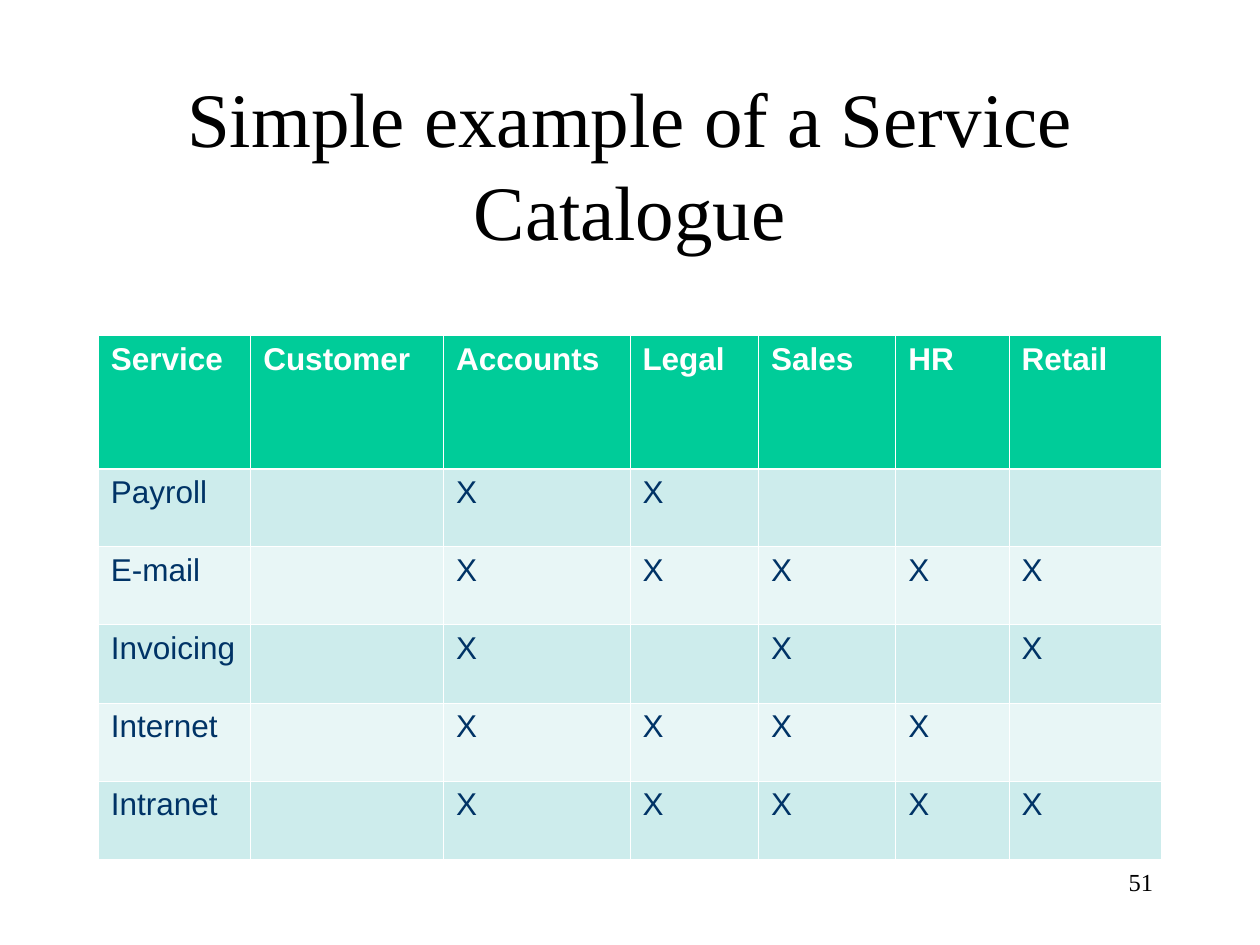
"""Build the service catalogue slide."""
from lxml.etree import SubElement as Sub
from pptx import Presentation
from pptx.dml.color import RGBColor as RGB
from pptx.enum.text import MSO_ANCHOR as Anchor, MSO_AUTO_SIZE as Fit, PP_ALIGN as Align
from pptx.oxml.ns import qn
from pptx.util import Inches, Pt

TITLE = "Simple example of a Service Catalogue"
NUMBER = "51"
HEADS = ["Service", "Customer", "Accounts", "Legal", "Sales", "HR", "Retail"]
USERS = {
    "Payroll": ["Accounts", "Legal"],
    "E-mail": ["Accounts", "Legal", "Sales", "HR", "Retail"],
    "Invoicing": ["Accounts", "Sales", "Retail"],
    "Internet": ["Accounts", "Legal", "Sales", "HR"],
    "Intranet": ["Accounts", "Legal", "Sales", "HR", "Retail"],
}
WIDTHS = [1.21, 1.53, 1.48, 1.02, 1.09, 0.9, 1.21]
HEIGHTS = [1.06] + [0.62] * len(USERS)
COLORS = {
    "black": "000000", "white": "FFFFFF", "navy": "003366",
    "green": "00CC99", "mint": "CDECEC", "pale": "E8F6F6",
}
SERIF, SANS = "Times New Roman", "Arial"
THIN, THICK = 0.45, 1.47


def write(frame, text, size=18, face=SANS, color="navy", bold=False, align=Align.LEFT):
    para = frame.paragraphs[0]
    para.alignment = align
    run = para.add_run()
    run.text = text
    font = run.font
    font.size, font.name, font.bold = Pt(size), face, bold
    font.color.rgb = RGB.from_string(COLORS[color])


def edge(cell, row):
    props = cell._tc.get_or_add_tcPr()
    sides = {"L": THIN, "R": THIN, "T": THICK if row == 1 else THIN, "B": THIN if row else THICK}
    for side, width in sides.items():
        line = Sub(props, qn(f"a:ln{side}"), w=str(Pt(width)))
        Sub(Sub(line, qn("a:solidFill")), qn("a:srgbClr"), val=COLORS["white"])


def main():
    deck = Presentation()
    deck.slide_width, deck.slide_height = Inches(10), Inches(7.5)
    slide = deck.slides.add_slide(deck.slide_layouts[5])

    title = slide.shapes.title
    title.left, title.top = Inches(0.75), Inches(0.67)
    title.width, title.height = Inches(8.5), Inches(1.25)
    frame = title.text_frame
    frame.auto_size, frame.vertical_anchor = Fit.NONE, Anchor.MIDDLE
    write(frame, TITLE, size=44, face=SERIF, color="black", align=Align.CENTER)

    rows = [HEADS]
    for name, users in USERS.items():
        rows.append([name] + ["X" if head in users else "" for head in HEADS[1:]])
    table = slide.shapes.add_table(
        len(rows), len(HEADS), Inches(0.78), Inches(2.66),
        Inches(sum(WIDTHS)), Inches(sum(HEIGHTS))).table
    for col, width in zip(table.columns, WIDTHS):
        col.width = Inches(width)
    for r, words in enumerate(rows):
        table.rows[r].height = Inches(HEIGHTS[r])
        fill = "green" if r == 0 else "mint" if r % 2 else "pale"
        for c, word in enumerate(words):
            cell = table.cell(r, c)
            edge(cell, r)
            cell.fill.solid()
            cell.fill.fore_color.rgb = RGB.from_string(COLORS[fill])
            if word:
                write(cell.text_frame, word, color="navy" if r else "white", bold=r == 0)

    box = slide.shapes.add_textbox(Inches(7.17), Inches(6.83), Inches(2.08), Inches(0.5))
    box.text_frame.word_wrap = True
    write(box.text_frame, NUMBER, size=14, face=SERIF, color="black", align=Align.RIGHT)

    deck.save("out.pptx")


if __name__ == "__main__":
    main()
